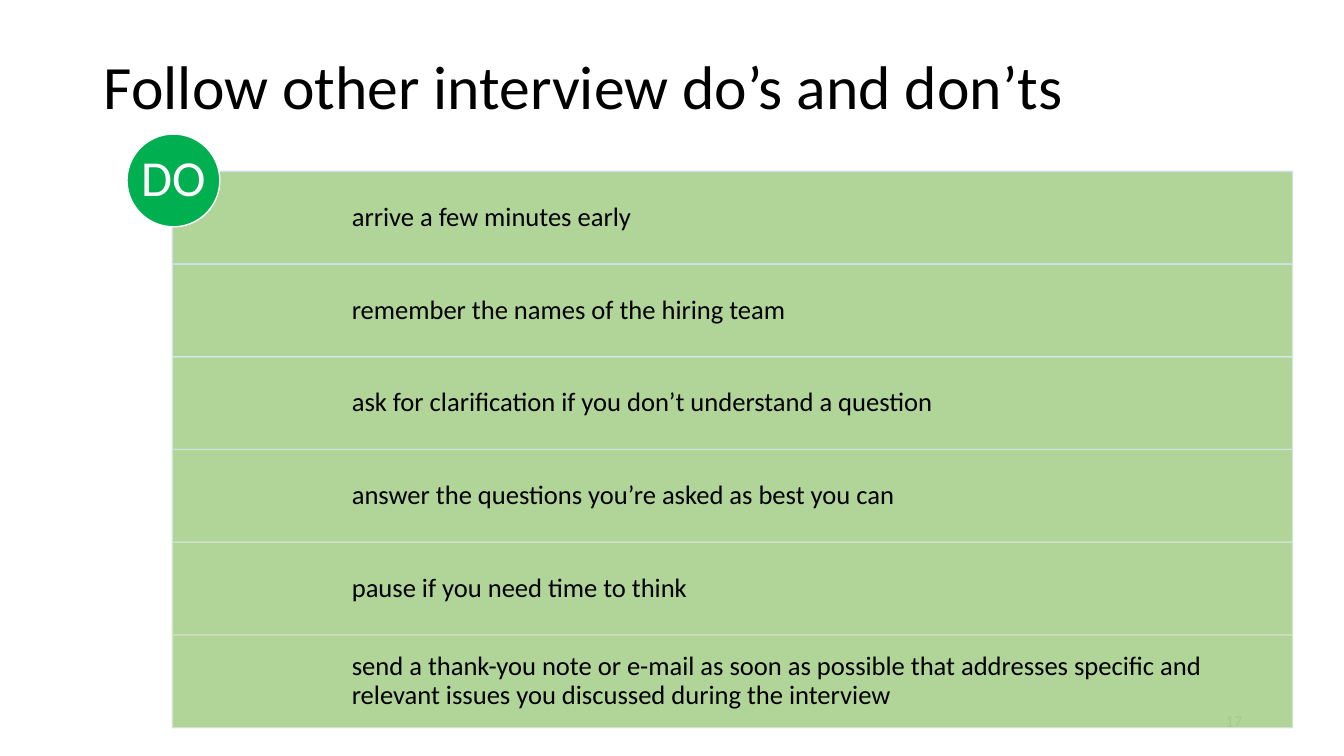
from dataclasses import dataclass

from lxml import etree
from pptx import Presentation
from pptx.dml.color import RGBColor
from pptx.enum.shapes import MSO_SHAPE as SHAPE
from pptx.enum.text import MSO_ANCHOR as ANCHOR, MSO_AUTO_SIZE as AUTO, PP_ALIGN as ALIGN
from pptx.oxml.ns import qn
from pptx.util import Pt

PX = 9144  # EMU per px, 100 px to the inch


@dataclass(frozen=True)
class Theme:
    font: str = "Calibri"
    black: str = "000000"
    white: str = "FFFFFF"
    grey: str = "8C8C8C"
    row: str = "A9D18E"
    badge: str = "00B050"
    title_size: int = 44
    badge_size: int = 36
    row_size: int = 19
    number_size: int = 12


theme = Theme()


def write(sp, text, size, color=theme.black, align=ALIGN.LEFT, anchor=ANCHOR.MIDDLE,
          spacing=0.9, insets=(0, 0, 0, 0), wrap=True):
    tf = sp.text_frame
    tf.auto_size, tf.word_wrap, tf.vertical_anchor = AUTO.NONE, wrap, anchor
    tf.margin_left, tf.margin_top, tf.margin_right, tf.margin_bottom = [i * PX for i in insets]
    p = tf.paragraphs[0]
    p.alignment, p.line_spacing = align, spacing
    r = p.add_run()
    r.text = text
    r.font.name, r.font.size = theme.font, Pt(size)
    r.font.color.rgb = RGBColor.from_string(color)


def paint(sp, fill, line, opacity=100):
    sp.shadow.inherit = False
    sp.fill.solid()
    sp.fill.fore_color.rgb = RGBColor.from_string(fill)
    sp.line.color.rgb = RGBColor.from_string(line)
    sp.line.width = Pt(1)
    if opacity < 100:
        for clr in sp._element.spPr.iter(qn("a:srgbClr")):
            etree.SubElement(clr, qn("a:alpha"), val=str(opacity * 1000))


prs = Presentation()
prs.slide_width, prs.slide_height = 1333 * PX, 750 * PX
s = prs.slides.add_slide(prs.slide_layouts[5])

# Title
title = s.shapes.title
title.left, title.top, title.width, title.height = 92 * PX, 24 * PX, 1150 * PX, 109 * PX
write(title, "Follow other interview do’s and don’ts", theme.title_size,
      anchor=ANCHOR.BOTTOM, insets=(11, 11, 11, 11))

# Slide number, behind the rows
number = s.shapes.add_textbox(942 * PX, 695 * PX, 300 * PX, 40 * PX)
write(number, "17", theme.number_size, color=theme.grey, align=ALIGN.RIGHT,
      spacing=1.0, insets=(10, 5, 10, 5))

# Advice rows, each with its own border tint
ROW_LEFT, ROW_TOP, ROW_WIDTH, ROW_HEIGHT = 171, 170, 1111, 92
advice = [
    ("arrive a few minutes early", "D2DEEF"),
    ("remember the names of the hiring team", "D1E7ED"),
    ("ask for clarification if you don’t understand a question", "D0EBE6"),
    ("answer the questions you’re asked as best you can", "D0E8DB"),
    ("pause if you need time to think", "CFE6D1"),
    ("send a thank-you note or e-mail as soon as possible that addresses specific and "
     "relevant issues you discussed during the interview", "D5E3CF"),
]
for i, (text, border) in enumerate(advice):
    row = s.shapes.add_shape(SHAPE.RECTANGLE, ROW_LEFT * PX, (ROW_TOP + i * ROW_HEIGHT) * PX,
                             ROW_WIDTH * PX, ROW_HEIGHT * PX)
    paint(row, theme.row, border, opacity=90)
    write(row, text, theme.row_size, insets=(178, 15, 15, 15))

# "DO" badge on the corner of the first row
badge = s.shapes.add_shape(SHAPE.OVAL, 126 * PX, 133 * PX, 92 * PX, 92 * PX)
paint(badge, theme.badge, theme.white)
write(badge, "DO", theme.badge_size, color=theme.white, align=ALIGN.CENTER, wrap=False)

prs.save("out.pptx")
